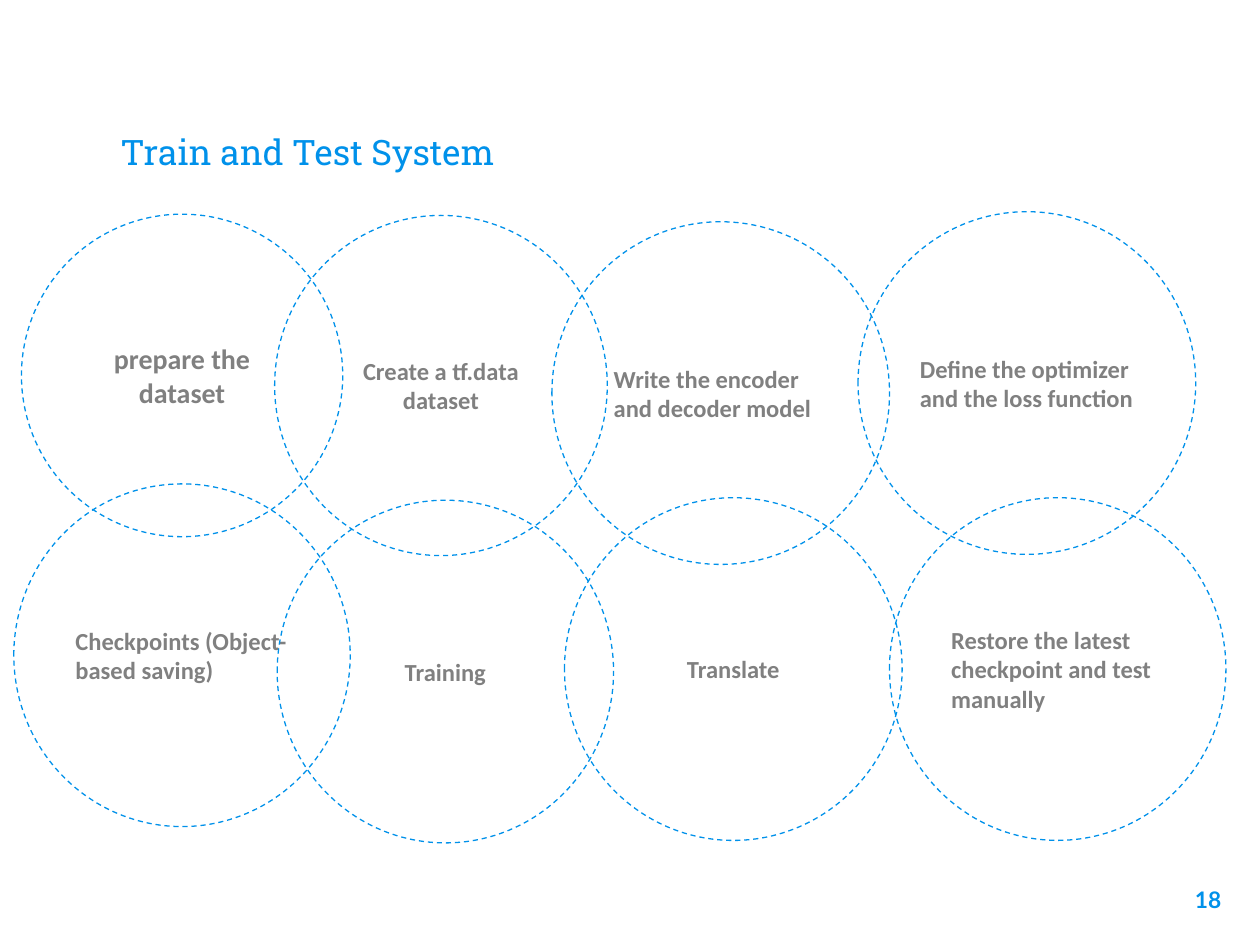
from pptx import Presentation
from pptx.dml.color import RGBColor
from pptx.enum import dml, shapes, text
from pptx.util import Inches, Pt

BLUE, GREY = "0091EA", "808080"
LEFT, CENTER, RIGHT = text.PP_ALIGN.LEFT, text.PP_ALIGN.CENTER, text.PP_ALIGN.RIGHT

# box (left, top, width, height in inches), wording, alignment, text size
STEPS = [
    ((2.18, 1.71, 2.64, 2.70), "Create a tf.data dataset", CENTER, 14),
    ((0.17, 1.70, 2.55, 2.56), "prepare the dataset", CENTER, 16),
    ((4.38, 1.76, 2.68, 2.72), "Write the encoder and decoder model", LEFT, 14),
    ((0.11, 3.84, 2.67, 2.72), "Checkpoints (Object-based saving)", LEFT, 14),
    ((4.48, 3.95, 2.68, 2.72), "Translate", CENTER, 14),
    ((6.81, 1.68, 2.68, 2.72), "Define the optimizer and the loss function", LEFT, 14),
    ((7.06, 3.95, 2.67, 2.72), "Restore the latest checkpoint and test manually", LEFT, 14),
    ((2.20, 3.97, 2.67, 2.72), "Training", CENTER, 14),
]


def color(hex_value):
    return RGBColor.from_string(hex_value)


def write(frame, wording, font, size, hex_value, bold=False,
          align=LEFT, anchor=text.MSO_ANCHOR.TOP):
    frame.text = wording
    frame.word_wrap = True
    frame.vertical_anchor = anchor
    frame.margin_left = frame.margin_right = Inches(0.1)
    frame.margin_top = frame.margin_bottom = Inches(0.1)
    paragraph = frame.paragraphs[0]
    paragraph.alignment = align
    style = paragraph.runs[0].font
    style.name, style.size, style.bold = font, Pt(size), bold
    style.color.rgb = color(hex_value)


def add_title(slide, box, wording):
    title = slide.shapes.add_textbox(*map(Inches, box))
    write(title.text_frame, wording, "Roboto Slab", 20, BLUE,
          anchor=text.MSO_ANCHOR.BOTTOM)


def add_step(slide, box, wording, align, size):
    circle = slide.shapes.add_shape(shapes.MSO_SHAPE.OVAL, *map(Inches, box))
    circle.shadow.inherit = False
    circle.fill.background()
    circle.line.color.rgb = color(BLUE)
    circle.line.width = Pt(0.75)
    circle.line.dash_style = dml.MSO_LINE.DASH
    write(circle.text_frame, wording, "Calibri", size, GREY, True, align,
          text.MSO_ANCHOR.MIDDLE)


def add_page_number(slide, box, number):
    page = slide.shapes.add_textbox(*map(Inches, box))
    write(page.text_frame, number, "Lato", 13, BLUE, True, RIGHT)


def main():
    deck = Presentation()
    deck.slide_width, deck.slide_height = Inches(10), Inches(7.5)
    slide = deck.slides.add_slide(deck.slide_layouts[6])
    add_title(slide, (0.86, 0.45, 8.28, 1.02), "Train and Test System")
    for step in STEPS:
        add_step(slide, *step)
    add_page_number(slide, (9.19, 6.93, 0.6, 0.57), "18")
    deck.save("out.pptx")


if __name__ == "__main__":
    main()
